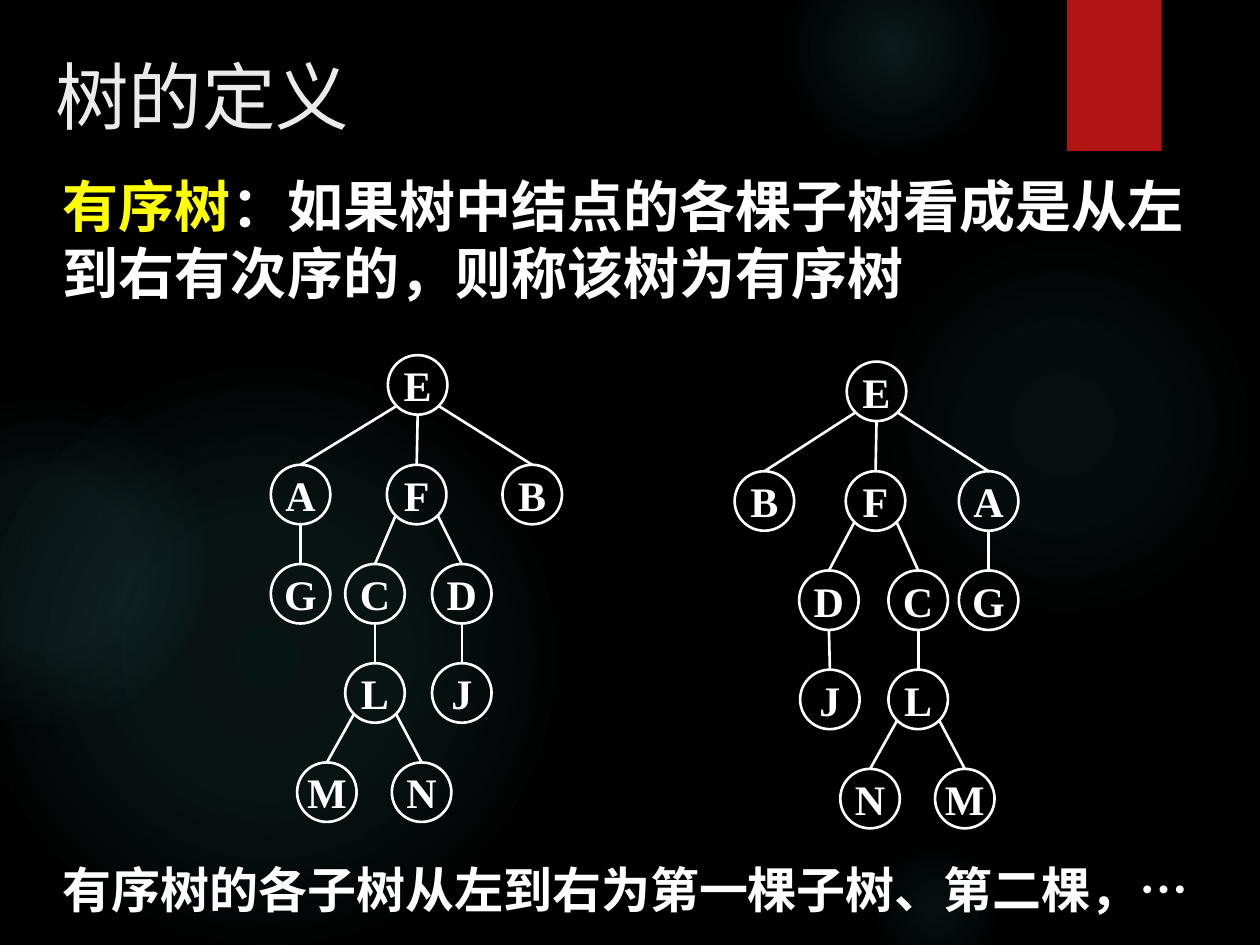
import math

import pptx
import pptx.util
import pptx.dml.color
import pptx.enum.shapes
import pptx.enum.text
import pptx.oxml
import pptx.oxml.ns
from lxml import etree

Cm, Pt = pptx.util.Cm, pptx.util.Pt
SHAPE = pptx.enum.shapes.MSO_SHAPE
ANCHOR = pptx.enum.text.MSO_ANCHOR
ALIGN = pptx.enum.text.PP_ALIGN
qn = pptx.oxml.ns.qn

COLORS = {"bg": "000000", "glow": "50B9C1", "tab": "B01513",
          "title": "EBEBEB", "text": "FFFFFF", "key": "FFFF00"}
CJK, SERIF = "Noto Sans CJK SC", "Times New Roman"

NODE = 1.2  # node diameter, cm
LEVELS = [0, 2.21, 4.21, 6.21, 8.21]  # node tops below the tree's top, cm

# Node: (left within the tree in cm, level, parent)
LEFT_TREE = {
    "E": (2.36, 0, None), "A": (0, 1, "E"), "F": (2.34, 1, "E"),
    "B": (4.67, 1, "E"), "G": (0, 2, "A"), "C": (1.5, 2, "F"),
    "D": (3.25, 2, "F"), "L": (1.5, 3, "C"), "J": (3.25, 3, "D"),
    "M": (0.53, 4, "L"), "N": (2.44, 4, "L"),
}
RIGHT_TREE = {
    "E": (2.26, 0, None), "B": (0, 1, "E"), "F": (2.24, 1, "E"),
    "A": (4.52, 1, "E"), "D": (1.3, 2, "F"), "C": (3.1, 2, "F"),
    "G": (4.52, 2, "A"), "J": (1.32, 3, "D"), "L": (3.1, 3, "C"),
    "N": (2.13, 4, "L"), "M": (4.04, 4, "L"),
}

# Glow: left, top, diameter in cm, then (position, opacity) stops in percent
GLOWS = [
    (17.5, 4.65, 7.82, [(0, 7), (36, 6), (69, 0)]),
    (15.8, -1.27, 4.45, [(0, 14), (36, 7), (73, 0)]),
    (17.5, 16.94, 2.74, [(0, 9), (36, 5), (66, 0)]),
    (-0.43, 7.42, 11.63, [(0, 11), (36, 10), (75, 0)]),
    (-2.34, 8.05, 6.55, [(0, 8), (36, 8), (72, 0)]),
]


def rgb(name):
    return pptx.dml.color.RGBColor.from_string(COLORS[name])


def add_run(p, text, color, **fmt):
    r = p.add_run()
    r.text = text
    for key, value in fmt.items():
        setattr(r.font, key, value)
    r.font.color.rgb = rgb(color)
    latin = r.font._element.find(qn("a:latin"))
    ea = etree.Element(qn("a:ea"), typeface=CJK)
    latin.addnext(ea)


def add_plain_shape(s, kind, left, top, width, height):
    sp = s.shapes.add_shape(kind, Cm(left), Cm(top), Cm(width), Cm(height))
    sp.shadow.inherit = False
    sp.fill.background()
    sp.line.fill.background()
    return sp


def add_glow(s, left, top, size, stops):
    sp = add_plain_shape(s, SHAPE.OVAL, left, top, size, size)
    gs = "".join(
        f'<a:gs pos="{pos * 1000}"><a:srgbClr val="{COLORS["glow"]}">'
        f'<a:alpha val="{alpha * 1000}"/></a:srgbClr></a:gs>'
        for pos, alpha in stops)
    grad = pptx.oxml.parse_xml(
        f'<a:gradFill {pptx.oxml.ns.nsdecls("a")} rotWithShape="1">'
        f'<a:gsLst>{gs}</a:gsLst><a:path path="circle">'
        '<a:fillToRect l="50000" t="50000" r="50000" b="50000"/>'
        '</a:path></a:gradFill>')
    sppr = sp._element.spPr
    sppr.replace(sppr.find(qn("a:noFill")), grad)


def add_backdrop(s):
    s.background.fill.solid()
    s.background.fill.fore_color.rgb = rgb("bg")
    for glow in GLOWS:
        add_glow(s, *glow)
    tab = add_plain_shape(s, SHAPE.RECTANGLE, 21.51, 0, 1.91, 3.05)
    tab.fill.solid()
    tab.fill.fore_color.rgb = rgb("tab")


def add_title(s, text, left, top, width, height):
    sp = s.shapes.title
    box = {"left": left, "top": top, "width": width, "height": height}
    for key, value in box.items():
        setattr(sp, key, Cm(value))
    tf = sp.text_frame
    tf.vertical_anchor = ANCHOR.TOP
    p = tf.paragraphs[0]
    p.alignment = ALIGN.LEFT
    add_run(p, text, "title", size=Pt(42), name=SERIF)


def add_statement(s, left, top, width, height, size, runs):
    tf = s.shapes.add_textbox(Cm(left), Cm(top), Cm(width),
                              Cm(height)).text_frame
    tf.word_wrap = True
    for text, color in runs:
        add_run(tf.paragraphs[0], text, color,
                size=Pt(size), name=CJK, bold=True)


def add_node(s, label, left, top):
    sp = add_plain_shape(s, SHAPE.OVAL, left, top, NODE, NODE)
    sp.line.color.rgb = rgb("text")
    sp.line.width = Pt(1.5)
    tf = sp.text_frame
    tf.word_wrap = False
    tf.vertical_anchor = ANCHOR.MIDDLE
    p = tf.paragraphs[0]
    p.alignment = ALIGN.CENTER
    add_run(p, label, "text", size=Pt(24), name=SERIF, bold=True)
    return sp


def add_branch(s, parent, child):
    """Run from the parent's lower rim to the top of the child."""
    shift = child.left - parent.left
    side = 0 if abs(shift) < Cm(0.1) else math.copysign(1, shift)
    angle = side * math.pi / 4
    radius = parent.width / 2
    x = int(parent.left + radius * (1 + math.sin(angle)))
    y = int(parent.top + radius * (1 + math.cos(angle)))
    line = s.shapes.add_connector(
        pptx.enum.shapes.MSO_CONNECTOR.STRAIGHT, x, y, x, y)
    line.end_connect(child, 0)
    line.line.color.rgb = rgb("text")
    line.line.width = Pt(1.5)
    etree.SubElement(line._element.spPr, qn("a:effectLst"))


def add_tree(s, tree, left, top):
    nodes = {label: add_node(s, label, left + x, top + LEVELS[level])
             for label, (x, level, _) in tree.items()}
    for label, (_, _, parent) in tree.items():
        if parent:
            add_branch(s, nodes[parent], nodes[label])


def main():
    prs = pptx.Presentation()
    prs.slide_width, prs.slide_height = Cm(25.4), Cm(19.05)
    s = prs.slides.add_slide(prs.slide_layouts[5])
    add_backdrop(s)
    add_title(s, "树的定义", 0.86, 0.91, 26.14, 3.89)

    # Definition and closing remark
    add_statement(s, 1.02, 3.33, 23.22, 3.53, 32, [
        ("有序树", "key"),
        ("：如果树中结点的各棵子树看成是从左到右有次序的，则称该树为有序树",
         "text")])
    add_statement(s, 1.02, 17.2, 24.08, 1.45, 28, [
        ("有序树的各子树从左到右为第一棵子树、第二棵，…", "text")])

    # Two trees that differ in the order of their subtrees
    add_tree(s, LEFT_TREE, 5.46, 7.16)
    add_tree(s, RIGHT_TREE, 14.81, 7.29)
    prs.save("out.pptx")


if __name__ == "__main__":
    main()
